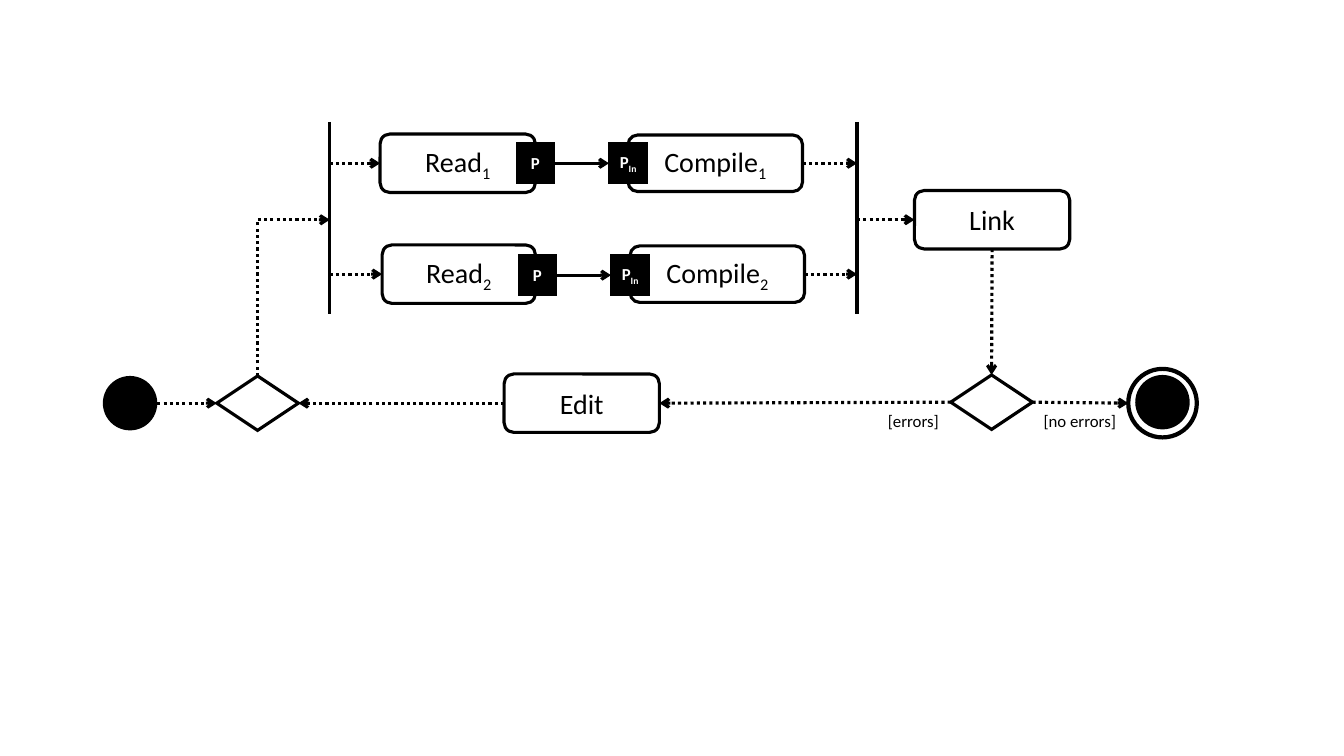
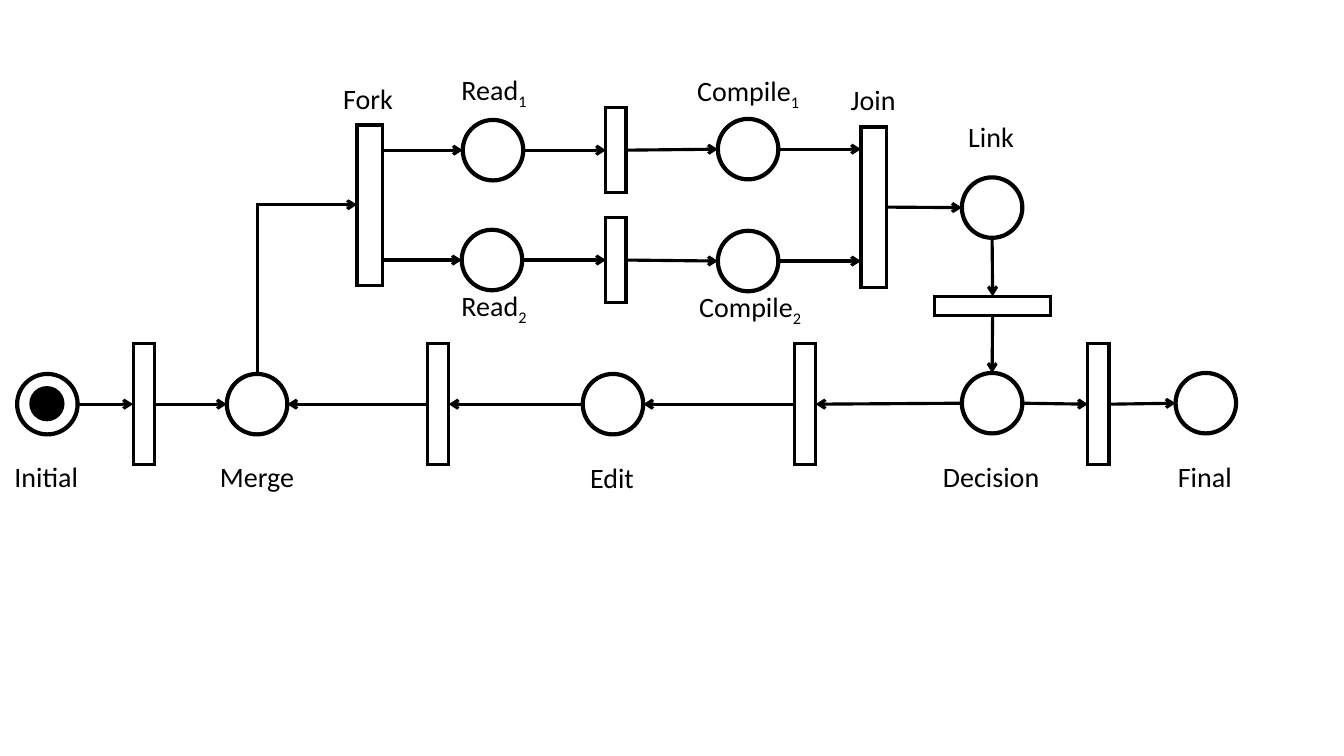
from dataclasses import dataclass
from itertools import pairwise

from pptx import Presentation
from pptx import util as u
from pptx.dml.color import RGBColor
from pptx.enum import dml, shapes, text
from pptx.oxml.ns import qn
from lxml import etree

PX = 9144  # one px is a hundredth of an inch
KIND = shapes.MSO_SHAPE
SIDES = {"right": (3, 1), "left": (1, 3), "down": (2, 0)}


@dataclass(frozen=True)
class Theme:
    ink: RGBColor = RGBColor(0, 0, 0)
    paper: RGBColor = RGBColor(255, 255, 255)
    font: str = "Calibri"
    large: int = 20
    small: int = 12
    line: float = 2.25
    ring: float = 3
    thin: float = 1


T = Theme()


# Shared formatting
def px(*nums):
    return [u.Emu(int(n * PX)) for n in nums]


def put(root, tag, **attrs):
    node = etree.SubElement(root, qn(tag))
    for key, val in attrs.items():
        node.set(key, val)


def pen(line, width):
    line.color.rgb = T.ink
    line.width = u.Pt(width)


def write(shape, words, size, ink=T.ink, bold=False):
    """Write words; what follows an underscore is a subscript."""
    para = shape.text_frame.paragraphs[0]
    para.alignment = text.PP_ALIGN.CENTER
    form = {"name": T.font, "size": u.Pt(size), "bold": bold}
    base, _, sub = words.partition("_")
    for part, shift in ((base, None), (sub, "-25000")):
        if not part:
            continue
        run = para.add_run()
        run.text = part
        for key, val in form.items():
            setattr(run.font, key, val)
        run.font.color.rgb = ink
        if shift:
            run.font._element.set("baseline", shift)


# Nodes
def node(page, kind, x, y, w, h, fill=T.paper, width=T.line):
    shape = page.shapes.add_shape(kind, *px(x, y, w, h))
    shape.shadow.inherit = False
    if fill is None:
        shape.fill.background()
    else:
        shape.fill.solid()
        shape.fill.fore_color.rgb = fill
    if width:
        pen(shape.line, width)
        put(shape.line._get_or_add_ln(), "a:miter", lim="800000")
    else:
        shape.line.fill.background()
    return shape


def task(page, words, x, y, w, h):
    shape = node(page, KIND.ROUNDED_RECTANGLE, x, y, w, h)
    shape.text_frame.vertical_anchor = text.MSO_ANCHOR.MIDDLE
    write(shape, words, T.large)
    return shape


def pin(page, words, x, y):
    shape = node(page, KIND.RECTANGLE, x, y, 38, 40, T.ink, T.thin)
    shape.text_frame.vertical_anchor = text.MSO_ANCHOR.MIDDLE
    write(shape, words, T.small, T.paper, True)
    return shape


def choice(page, x, y):
    return node(page, KIND.FLOWCHART_DECISION, x, y, 81, 54)


def disc(page, x, y, size):
    return node(page, KIND.OVAL, x, y, size, size, T.ink, None)


def ring(page, x, y, size=60):
    return node(page, KIND.OVAL, x, y, size, size, None, T.ring)


def bar(page, x, y, w, h):
    return node(page, KIND.RECTANGLE, x, y, w, h)


def label(page, words, mid, y, size=T.large):
    high = 44 if size == T.large else 30
    box = page.shapes.add_textbox(*px(mid - 65, y, 130, high))
    box.text_frame.word_wrap = True
    write(box, words, size)


# Lines and arrows
def spot(end, side):
    if isinstance(end, tuple):
        return px(*end)
    mid_x, mid_y = end.left + end.width // 2, end.top + end.height // 2
    return ((mid_x, end.top), (end.left, mid_y),
            (mid_x, end.top + end.height), (end.left + end.width, mid_y))[side]


def ink_line(wire, dots=False, head=True):
    pen(wire.line, T.line)
    if dots:
        wire.line.dash_style = dml.MSO_LINE.ROUND_DOT
    edge = wire.line._get_or_add_ln()
    put(edge, "a:miter", lim="800000")
    if head:
        put(edge, "a:tailEnd", type="arrow")
    put(wire._element.spPr, "a:effectLst")


def link(page, start, stop, way="right", dots=False, head=True):
    out, into = SIDES[way]
    wire = page.shapes.add_connector(
        shapes.MSO_CONNECTOR.STRAIGHT, *spot(start, out), *spot(stop, into))
    for end, side, join in ((start, out, wire.begin_connect),
                            (stop, into, wire.end_connect)):
        # Ovals number their sites differently, so only four-sided nodes join
        if not isinstance(end, tuple) and end.auto_shape_type != KIND.OVAL:
            join(end, side)
    ink_line(wire, dots, head)


def chain(page, *nodes, way="right", dots=False):
    for start, stop in pairwise(nodes):
        link(page, start, stop, way, dots)


def elbow(page, x, y, to_x, to_y, dots=False):
    """Run up from the start, then right: an elbow turned by 90 degrees."""
    mid_x, mid_y = (x + to_x) / 2, (y + to_y) / 2
    long, wide = (y - to_y) / 2, (to_x - x) / 2
    wire = page.shapes.add_connector(
        shapes.MSO_CONNECTOR.ELBOW,
        *px(mid_x + long, mid_y + wide, mid_x - long, mid_y - wide))
    props = wire._element.spPr
    props.find(qn("a:xfrm")).set("rot", "5400000")
    geom = props.find(qn("a:prstGeom"))
    for old in list(geom):
        geom.remove(old)
    put(geom, "a:avLst")
    put(geom[0], "a:gd", name="adj1", fmla="val 99900")
    ink_line(wire, dots)


# Slide 1: activity diagram
def activity(page):
    fork, join = 327, 850
    for x in (fork, join):
        link(page, (x, 121), (x, 312), head=False)

    # Two parallel rows
    for k in (0, 1):
        dx, dy = 2 * k, 110 * k
        read = task(page, f"Read_{k + 1}", 377 + dx, 133 + dy, 154 - dx, 58)
        build = task(page, f"Compile_{k + 1}", 623 + dx, 134 + dy, 173, 56)
        give = pin(page, "P", 512 + dx, 142 + 111 * k)
        take = pin(page, "P_In", 604 + dx, 142 + 111 * k)
        link(page, give, take)
        link(page, (fork, 162 + dy), read, dots=True)
        link(page, build, (join, 162 + dy), dots=True)

    # Main loop
    start = disc(page, 102, 373, 54)
    merge = choice(page, 215, 373)
    edit = task(page, "Edit", 500, 371, 154, 58)
    test = choice(page, 943, 372)
    disc(page, 1126, 372, 54)
    final = ring(page, 1119, 366, 68)
    join_to = task(page, "Link", 907, 189, 154, 58)
    link(page, start, merge, dots=True)
    chain(page, test, edit, merge, way="left", dots=True)
    link(page, test, final, dots=True)
    link(page, (join, 218), join_to, dots=True)
    link(page, join_to, test, "down", dots=True)
    elbow(page, 255, 373, fork, 218, dots=True)
    label(page, "[errors]", 906, 403, T.small)
    label(page, "[no errors]", 1071, 403, T.small)


# Slide 2: Petri net
def petri(page):
    # Places, each with its label: left, top, label middle, label top
    spots = {
        "Initial": (17, 371, 46, 451),
        "Merge": (225, 371, 255, 451),
        "Edit": (578, 371, 607, 452),
        "Decision": (954, 370, 983, 451),
        "Final": (1166, 370, 1195, 451),
        "Link": (954, 176, 983, 114),
        "Read_1": (459, 119, 490, 67),
        "Read_2": (458, 228, 490, 281),
        "Compile_1": (712, 118, 742, 68),
        "Compile_2": (712, 229, 744, 282),
    }
    place = {}
    for name, (x, y, mid, top) in spots.items():
        place[name] = ring(page, x, y)
        label(page, name, mid, top)
    disc(page, 29, 383, 35)

    # Transitions
    begin, back, fail, done = (
        bar(page, x, 341, 21, 120) for x in (132, 424, 788, 1079))
    fork = bar(page, 354, 124, 25, 159)
    join = bar(page, 854, 126, 25, 159)
    check = bar(page, 927, 294, 115, 19)
    label(page, "Fork", 365, 76)
    label(page, "Join", 866, 77)

    # Parallel rows: heights of the reading and compiling arrows
    for k, (read_y, build_y) in enumerate(((149, 148), (258, 259)), 1):
        read, build = place[f"Read_{k}"], place[f"Compile_{k}"]
        step = bar(page, 601, read_y - 42, 20, 84)
        chain(page, (379, read_y), read, step, build, (854, build_y))

    # Main loop
    chain(page, place["Initial"], begin, place["Merge"])
    chain(page, place["Decision"], fail, place["Edit"], back,
          place["Merge"], way="left")
    chain(page, place["Decision"], done, place["Final"])
    link(page, join, place["Link"])
    chain(page, place["Link"], check, place["Decision"], way="down")
    elbow(page, 255, 371, 354, 203)


def main():
    deck = Presentation()
    deck.slide_width, deck.slide_height = u.Inches(13.33), u.Inches(7.5)
    for draw in (activity, petri):
        draw(deck.slides.add_slide(deck.slide_layouts[6]))
    deck.save("out.pptx")


if __name__ == "__main__":
    main()
